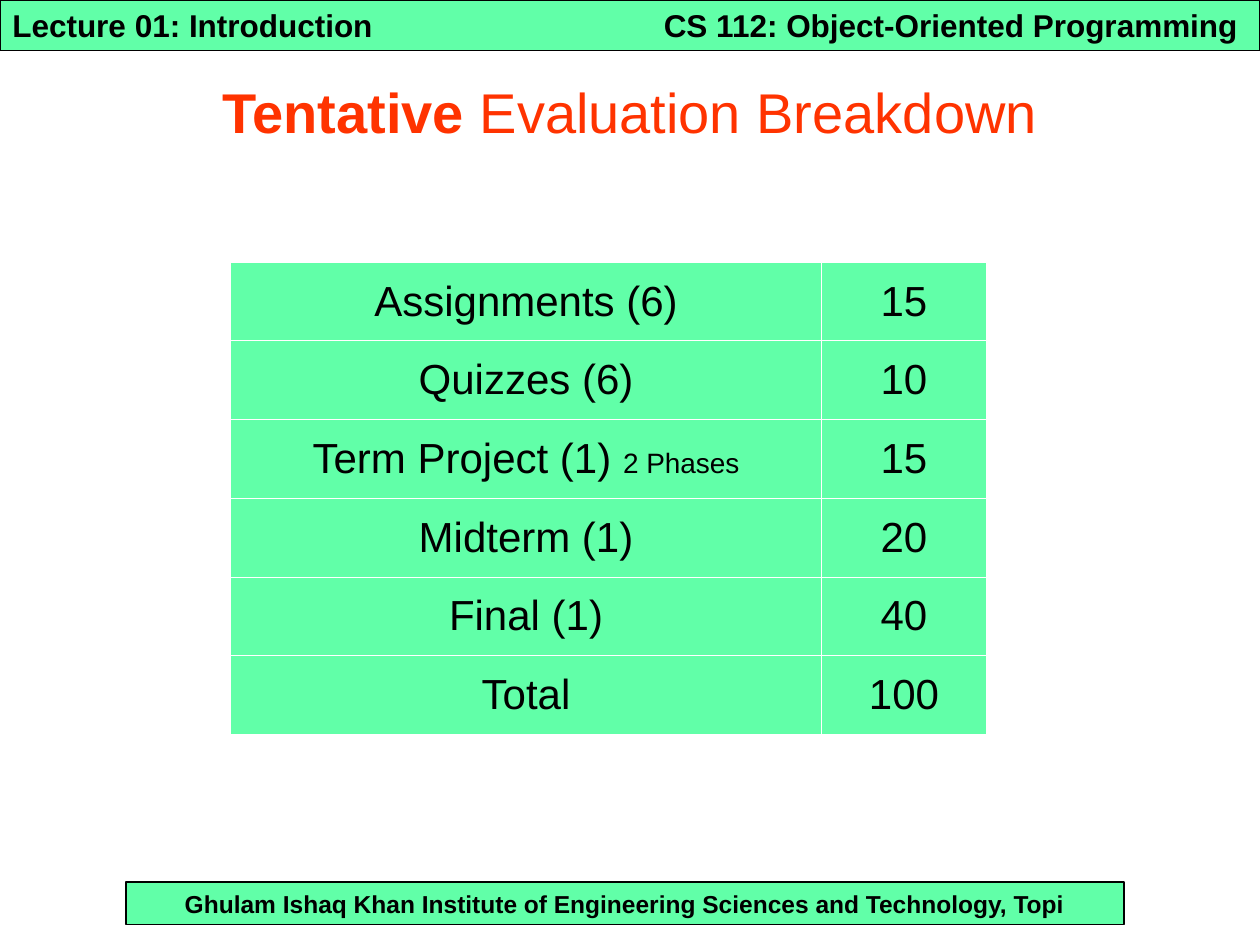
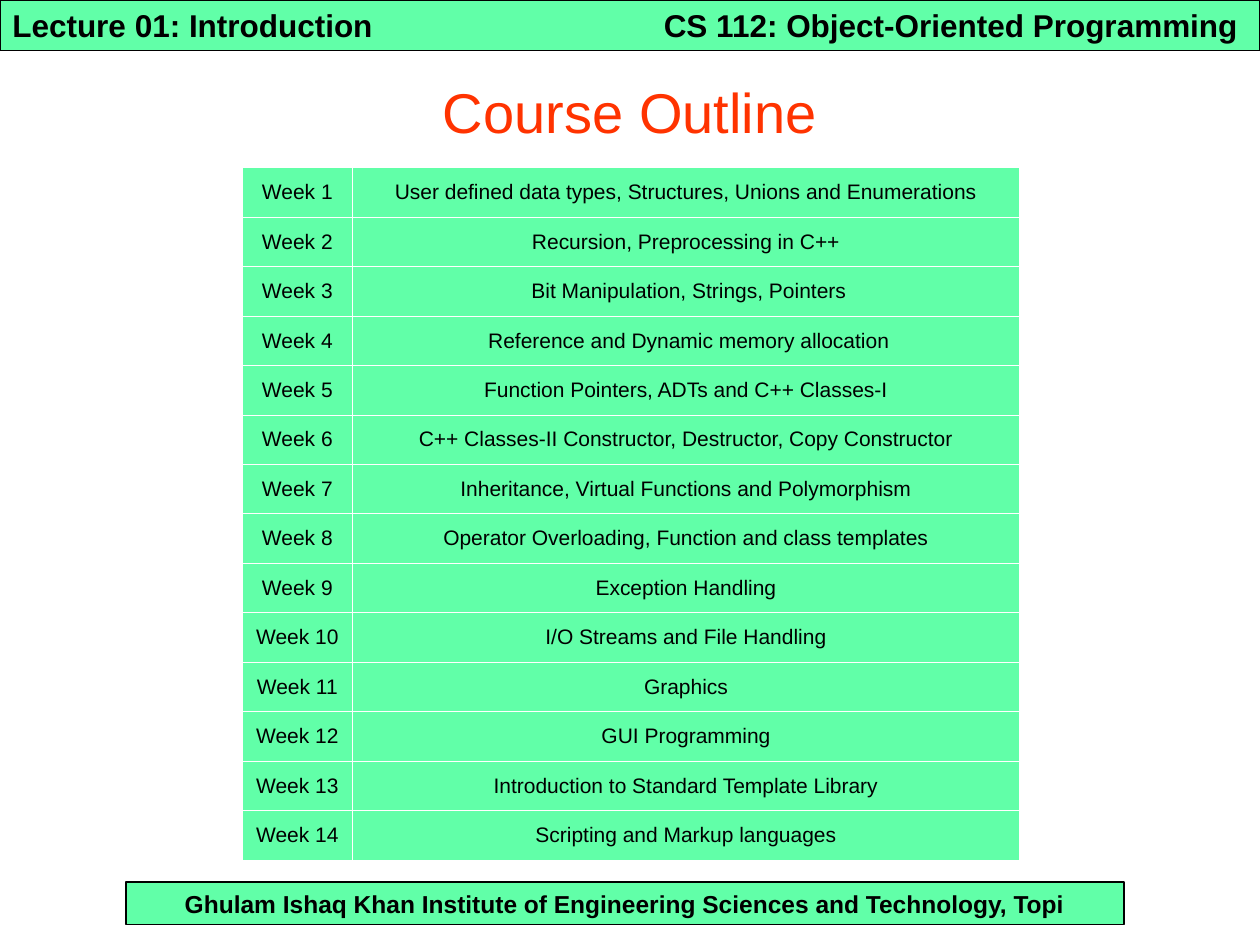
"""Build the evaluation breakdown and course outline slides of a programming course."""
from lxml import etree
from pptx import Presentation
from pptx.dml.color import RGBColor
from pptx.enum.shapes import MSO_SHAPE
from pptx.enum.text import MSO_ANCHOR, PP_ALIGN
from pptx.oxml import parse_xml
from pptx.oxml.ns import nsdecls
from pptx.util import Inches, Pt

RECTANGLE = MSO_SHAPE.RECTANGLE
MIDDLE = MSO_ANCHOR.MIDDLE
LEFT, CENTER = PP_ALIGN.LEFT, PP_ALIGN.CENTER

MINT = RGBColor(0x61, 0xFF, 0xA8)
BLACK = RGBColor(0x00, 0x00, 0x00)
ORANGE_RED = RGBColor(0xFF, 0x33, 0x00)
WHITE = RGBColor(0xFF, 0xFF, 0xFF)
FONT = "Arial"

LECTURE = "Lecture 01: Introduction"
COURSE = "CS 112: Object-Oriented Programming"
INSTITUTE = "Ghulam Ishaq Khan Institute of Engineering Sciences and Technology, Topi"

EVALUATION = [
    ("Assignments (6)", "15"),
    ("Quizzes (6)", "10"),
    ("Term Project (1) ", "15"),
    ("Midterm (1)", "20"),
    ("Final (1)", "40"),
    ("Total", "100"),
]
TOPICS = [
    "User defined data types, Structures, Unions and Enumerations",
    "Recursion, Preprocessing in C++",
    " Bit Manipulation, Strings, Pointers",
    " Reference and Dynamic memory allocation",
    "Function Pointers, ADTs and C++ Classes-I",
    "C++ Classes-II Constructor, Destructor, Copy Constructor",
    "Inheritance, Virtual Functions and Polymorphism",
    "Operator Overloading, Function and class templates",
    "Exception Handling",
    "I/O Streams and File Handling",
    "Graphics",
    "GUI Programming",
    "Introduction to Standard Template Library",
    "Scripting and Markup languages",
]
OUTLINE = [(f"Week {week}", topic) for week, topic in enumerate(TOPICS, 1)]

SLIDES = [
    {"title": [("Tentative", True), (" Evaluation Breakdown", False)], "rows": EVALUATION,
     "left": 1.83, "top": 2.08, "widths": (4.69, 1.31), "height": 3.75, "size": 24},
    {"title": [("Course Outline", False)], "rows": OUTLINE,
     "left": 1.92, "top": 1.33, "widths": (0.88, 5.29), "height": 5.5, "size": 12},
]


def write(frame, text, size, color=BLACK, bold=False, align=CENTER):
    frame.word_wrap = True
    frame.vertical_anchor = MIDDLE
    paragraph = frame.paragraphs[0]
    paragraph.alignment = align
    run = paragraph.add_run()
    run.text = text
    run.font.name = FONT
    run.font.size = Pt(size)
    run.font.bold = bold
    run.font.color.rgb = color


def style_cell(cell):
    cell.vertical_anchor = MIDDLE
    properties = cell._tc.get_or_add_tcPr()
    for side in ("lnL", "lnR", "lnT", "lnB"):
        border = parse_xml(f'<a:{side} {nsdecls("a")} w="{Pt(0.45)}"/>')
        solid = etree.SubElement(border, border.tag.replace(side, "solidFill"))
        etree.SubElement(solid, border.tag.replace(side, "srgbClr"), val=str(WHITE))
        properties.append(border)
    cell.fill.solid()
    cell.fill.fore_color.rgb = MINT


deck = Presentation()
deck.slide_width = Inches(10)
deck.slide_height = Inches(7.5)
blank = deck.slide_layouts[6]

for content in SLIDES:
    slide = deck.slides.add_slide(blank)

    for text, left, top, width, height, size, align in (
        (INSTITUTE, 1, 7, 7.92, 0.34, 14, CENTER),
        (LECTURE, 0, 0, 10, 0.4, 18, LEFT),
    ):
        band = slide.shapes.add_shape(
            RECTANGLE, Inches(left), Inches(top), Inches(width), Inches(height))
        band.shadow.inherit = False
        band.fill.solid()
        band.fill.fore_color.rgb = MINT
        band.line.color.rgb = BLACK
        band.line.width = Pt(0.75)
        write(band.text_frame, text, size, bold=True, align=align)

    course = slide.shapes.add_textbox(Inches(5.17), 0, Inches(4.83), Inches(0.4))
    write(course.text_frame, COURSE, 18, bold=True, align=LEFT)

    title = slide.shapes.add_textbox(0, Inches(0.42), Inches(10), Inches(0.92))
    for text, bold in content["title"]:
        write(title.text_frame, text, 32, color=ORANGE_RED, bold=bold)

    rows, widths = content["rows"], content["widths"]
    table = slide.shapes.add_table(
        len(rows), len(widths), Inches(content["left"]), Inches(content["top"]),
        Inches(sum(widths)), Inches(content["height"])).table
    table.first_row = False
    table.horz_banding = False
    for column, width in zip(table.columns, widths):
        column.width = Inches(width)
    for row, texts in zip(table.rows, rows):
        for cell, text in zip(row.cells, texts):
            style_cell(cell)
            write(cell.text_frame, text, content["size"])
            if text.startswith("Term Project"):
                write(cell.text_frame, "2 Phases", 16)

deck.save("out.pptx")
